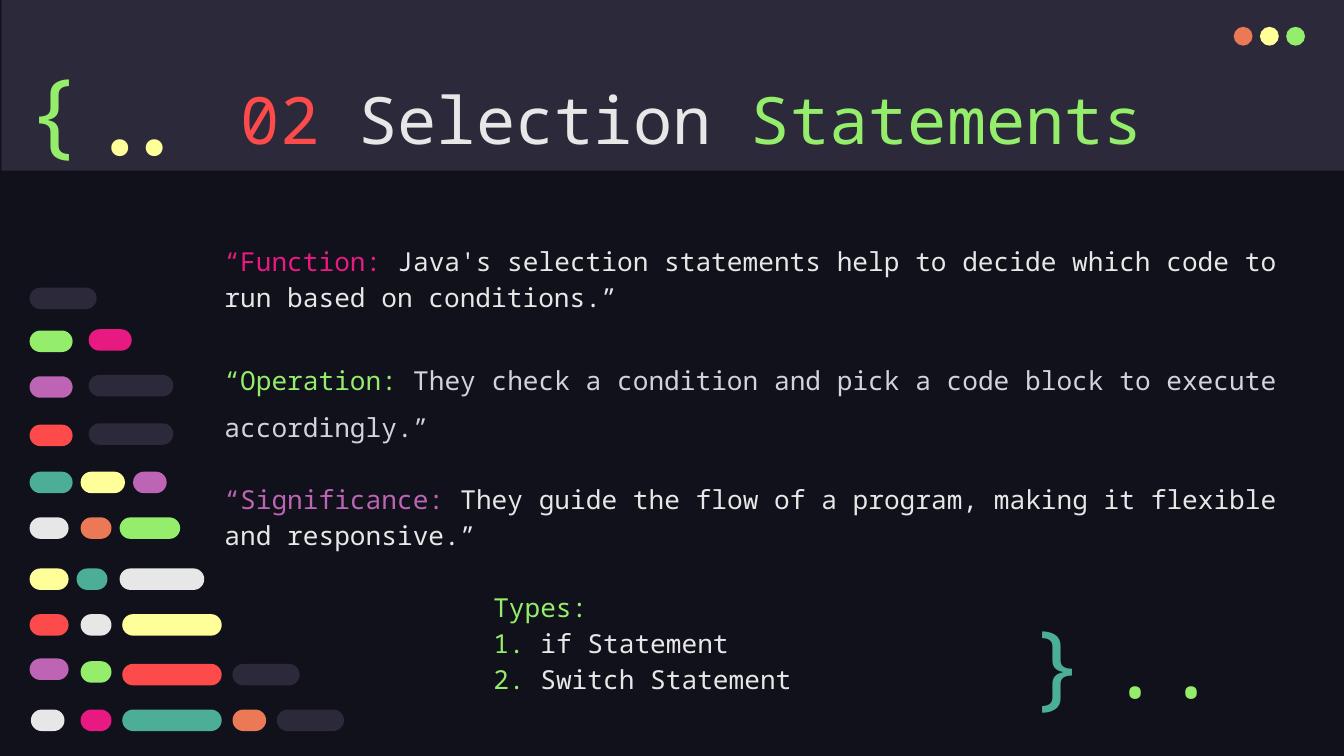
from dataclasses import dataclass

from pptx import Presentation
from pptx.dml.color import RGBColor
from pptx.enum.shapes import MSO_SHAPE
from pptx.enum.text import MSO_ANCHOR, MSO_AUTO_SIZE, PP_ALIGN
from pptx.util import Pt

RECT, OVAL, PILL = MSO_SHAPE.RECTANGLE, MSO_SHAPE.OVAL, MSO_SHAPE.ROUNDED_RECTANGLE
TOP, MIDDLE = MSO_ANCHOR.TOP, MSO_ANCHOR.MIDDLE
LEFT, CENTER, RIGHT = PP_ALIGN.LEFT, PP_ALIGN.CENTER, PP_ALIGN.RIGHT
FIXED = MSO_AUTO_SIZE.NONE
SCALE = 9144


@dataclass(frozen=True)
class Theme:
    """Colours, fonts and type sizes."""
    night: str = "10111A"
    slate: str = "2C293A"
    white: str = "E7E7E7"
    gray: str = "D1D5DB"
    red: str = "FD4A4A"
    green: str = "94EE6B"
    pink: str = "E81A81"
    purple: str = "BD64B5"
    teal: str = "4CAE97"
    yellow: str = "FFFF99"
    orange: str = "EC7955"
    mono: str = "Noto Sans Mono"
    code: str = "Fira Code"
    title: int = 35
    body: int = 14
    sign: int = 50
    gap: float = 19.3


T = Theme()

PILLS = [
    (0, [(0, 50, T.slate)]),
    (31, [(44, 32, T.pink)]),
    (32, [(0, 32, T.green)]),
    (65, [(44, 63, T.slate)]),
    (66, [(0, 32, T.purple)]),
    (101, [(44, 63, T.slate)]),
    (102, [(0, 32, T.red)]),
    (137, [(0, 32, T.teal), (38, 33, T.yellow), (77, 25, T.purple)]),
    (171, [(0, 29, T.white), (38, 23, T.orange), (67, 45, T.green)]),
    (209, [(0, 29, T.yellow), (35, 23, T.teal), (67, 63, T.white)]),
    (243, [(0, 29, T.red), (38, 23, T.white), (69, 74, T.yellow)]),
    (276, [(0, 29, T.purple)]),
    (278, [(38, 23, T.green)]),
    (280, [(69, 74, T.red), (151, 50, T.slate)]),
    (314, [(1, 25, T.white), (38, 23, T.pink), (69, 74, T.teal),
           (151, 25, T.orange), (184, 50, T.slate)]),
]

LINES = [
    (1.15, 0, 0, [("“Function:", T.pink),
                  (" Java's selection statements help to decide which code to "
                   "run based on conditions.”", T.white)]),
    (1.5, T.gap, 0, [("“Operation: ", T.green),
                     ("They check a condition and pick a code block to execute "
                      "accordingly.”", T.gray)]),
    (1.15, T.gap, 0, [("“Significance: ", T.purple),
                      ("They guide the flow of a program, making it flexible "
                       "and responsive.”", T.white)]),
    (1.15, T.gap, 200, [("Types:", T.green)]),
    (1.15, 0, 200, [("1.", T.green), (" if Statement", T.white)]),
    (1.15, 0, 200, [("2.", T.green), (" Switch Statement", T.white)]),
]


def px(n):
    """Turn px into EMU."""
    return round(n * SCALE)


def place(item, box):
    """Move and size an item to a box."""
    item.left, item.top, item.width, item.height = map(px, box)


def shape(shapes, kind, box, color):
    """Add a flat filled shape."""
    item = shapes.add_shape(kind, *map(px, box))
    item.shadow.inherit = False
    item.fill.solid()
    item.fill.fore_color.rgb = RGBColor.from_string(color)
    item.line.fill.background()
    return item


def frame(item, left=10, top=10, anchor=TOP):
    """Set up a text frame and return it."""
    text = item.text_frame
    text.word_wrap = True
    text.auto_size = FIXED
    text.vertical_anchor = anchor
    text.margin_left, text.margin_right = px(left), px(10)
    text.margin_top = text.margin_bottom = px(top)
    return text


def write(para, parts, size, font=T.mono, align=LEFT):
    """Fill a paragraph with coloured runs."""
    para.alignment = align
    for text, color in parts:
        run = para.add_run()
        run.text = text
        run.font.size = Pt(size)
        run.font.name = font
        run.font.color.rgb = RGBColor.from_string(color)


def sign(slide, box, text, color, font=T.mono, align=LEFT, top=10, anchor=TOP):
    """Add a large code sign."""
    item = slide.shapes.add_textbox(*map(px, box))
    para = frame(item, top=top, anchor=anchor).paragraphs[0]
    write(para, [(text, color)], T.sign, font, align)


def header(slide, box):
    """Build the top band with its dots, signs and title."""
    x, y, w, h = box
    band = shape(slide.shapes, RECT, box, T.slate)
    slide.shapes.element.insert(2, band.element)
    dots = slide.shapes.add_group_shape().shapes
    for i, color in enumerate((T.orange, T.yellow, T.green)):
        shape(dots, OVAL, (x + 917 + i * 39 / 2, y + 20, 14, 14), color)
    title = slide.shapes.title
    place(title, (x + 78, y + 49, 843, 63))
    parts = [("02", T.red), (" Selection ", T.white), ("Statements", T.green)]
    write(frame(title, left=39).paragraphs[0], parts, T.title, align=CENTER)
    sign(slide, (x + 9, y + 35, 65, 94), "{", T.green, top=5)
    sign(slide, (x + 47, y + 58, 107, 60), "..", T.yellow, T.code, RIGHT, anchor=MIDDLE)


def body(slide, box):
    """Fill the text placeholder."""
    item = slide.placeholders[1]
    place(item, box)
    text = frame(item)
    for i, (space, before, indent, parts) in enumerate(LINES):
        para = text.add_paragraph() if i else text.paragraphs[0]
        para.line_spacing = space
        para.space_before = Pt(before)
        para.space_after = Pt(0)
        props = para._p.get_or_add_pPr()
        props.set("marL", str(px(indent)))
        props.set("indent", "0")
        write(para, parts, T.body)


def pills(slide, box):
    """Draw the rows of pills."""
    x, y, h = box
    group = slide.shapes.add_group_shape().shapes
    for dy, row in PILLS:
        for dx, w, color in row:
            pill = shape(group, PILL, (x + dx, y + dy, w, h), color)
            pill.adjustments[0] = 0.5


def closing(slide, box):
    """Add the closing brace and its dots."""
    x, y = box
    sign(slide, (x, y, 57, 83), "}", T.teal)
    sign(slide, (x + 54, y + 22, 107, 60), "..", T.green, align=RIGHT, anchor=MIDDLE)


def main():
    """Build and save the slide."""
    deck = Presentation()
    deck.slide_width, deck.slide_height = px(1000), px(562.5)
    slide = deck.slides.add_slide(deck.slide_layouts[0])
    back = slide.background.fill
    back.solid()
    back.fore_color.rgb = RGBColor.from_string(T.night)
    header(slide, (1, 0, 999, 127))
    body(slide, (157, 169, 808, 370))
    pills(slide, (22, 214, 16))
    closing(slide, (756, 440))
    deck.save("out.pptx")


if __name__ == "__main__":
    main()
